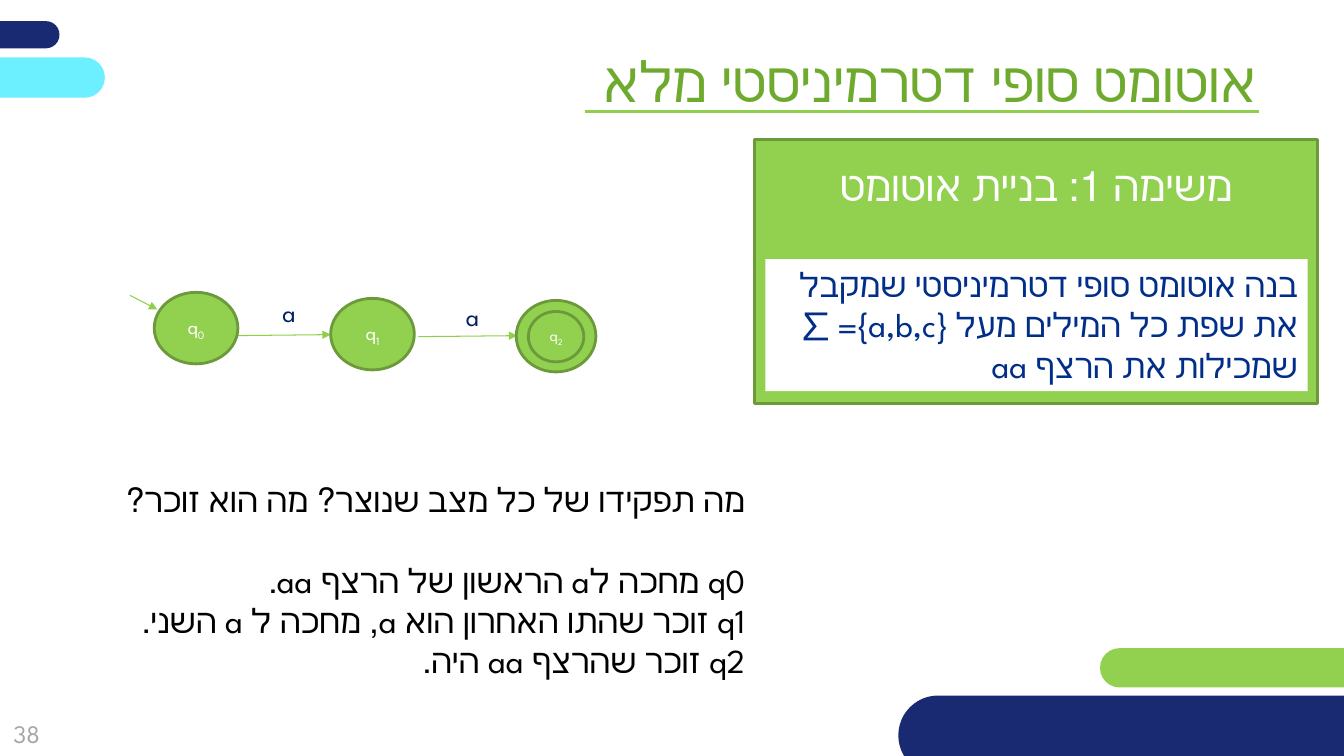
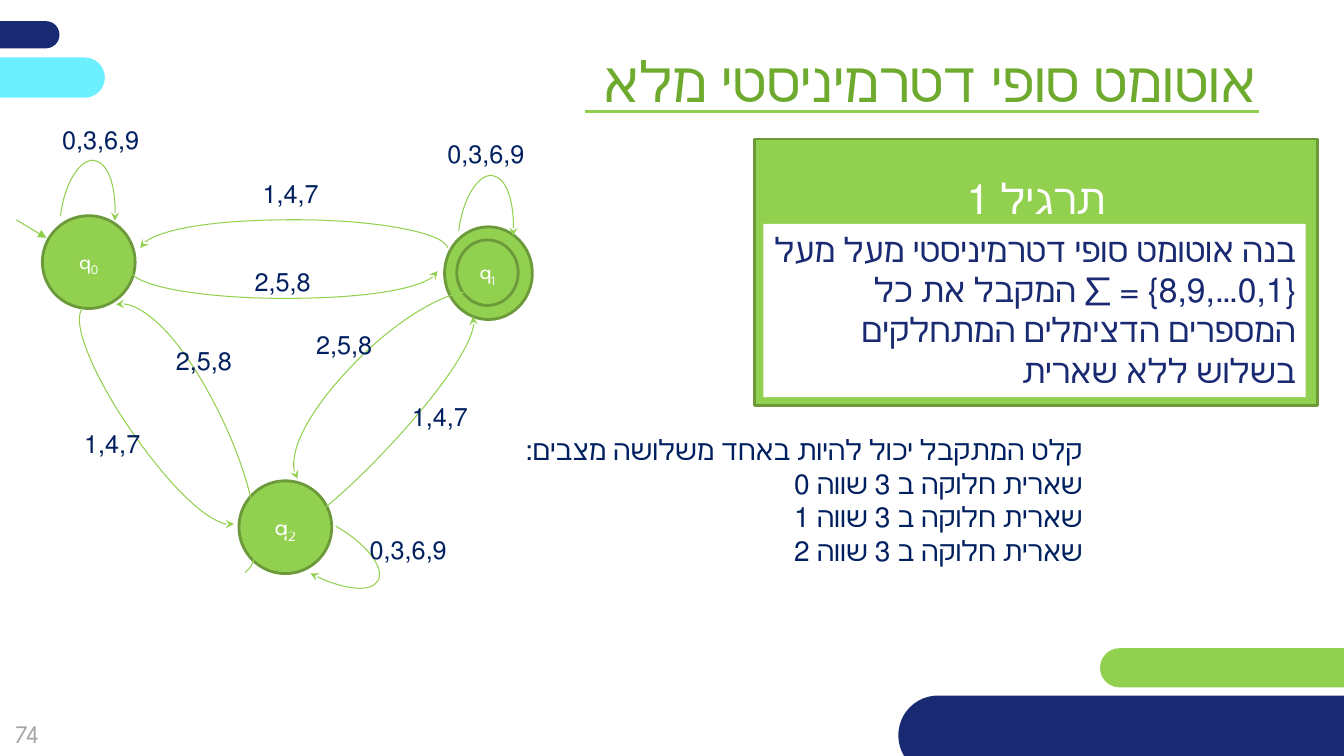
import pptx
import pptx.dml.color
import pptx.enum.shapes
import pptx.enum.text
import pptx.oxml.ns
import pptx.util
import lxml.etree

Inches = pptx.util.Inches
Pt = pptx.util.Pt
qn = pptx.oxml.ns.qn
SHAPE = pptx.enum.shapes.MSO_SHAPE
ALIGN = pptx.enum.text.PP_ALIGN
ANCHOR = pptx.enum.text.MSO_ANCHOR

FONT = "League Spartan"
COLORS = {
    "navy": "192A72", "cyan": "6CF0FF", "green": "92D050", "edge": "6C9A3B",
    "rule": "8FCF4B", "title": "6EAA2E", "gray": "A6A6A6", "white": "FFFFFF",
    "black": "000000", "blue": "002E89", "label": "002060",
}
BANDS = [
    (-2.66, 0.21, 3.25, 0.27, "navy"),
    (10.91, 6.43, 5.21, 0.39, "green"),
    (-2.21, 0.57, 3.25, 0.4, "cyan"),
    (8.91, 6.9, 5.66, 0.79, "navy"),
]
TITLE = "אוטומט סופי דטרמיניסטי מלא"


def rgb(name):
    """Return the palette colour called name."""
    return pptx.dml.color.RGBColor.from_string(COLORS[name])


def apply(obj, values):
    """Set each attribute in values on obj."""
    for key, value in values.items():
        setattr(obj, key, value)


def place(sp, box):
    """Move and size a shape to a box in inches."""
    apply(sp, dict(zip(("left", "top", "width", "height"), map(Inches, box))))


def add_run(p, text, size, color):
    """Add one formatted run to a paragraph."""
    r = p.add_run()
    r.text = text
    apply(r.font, {"name": FONT, "size": Pt(size)})
    r.font.color.rgb = rgb(color)
    return r


def write(sp, lines, size, color, align=ALIGN.RIGHT, rtl=True, **frame):
    """Write lines of text into a shape."""
    tf = sp.text_frame
    apply(tf, {"word_wrap": True, "vertical_anchor": ANCHOR.TOP,
               "auto_size": pptx.enum.text.MSO_AUTO_SIZE.NONE, **frame})
    for i, line in enumerate(lines):
        p = tf.add_paragraph() if i else tf.paragraphs[0]
        apply(p, {"alignment": align, "space_before": Pt(0)})
        if rtl:
            p._p.get_or_add_pPr().set("rtl", "1")
        add_run(p, line, size, color)


def add_shape(sl, kind, box, fill, line=None):
    """Add a flat preset shape."""
    sp = sl.shapes.add_shape(kind, *map(Inches, box))
    sp.shadow.inherit = False
    sp.fill.solid()
    sp.fill.fore_color.rgb = rgb(fill)
    if line:
        sp.line.color.rgb = rgb(line)
        sp.line.width = Pt(2)
    else:
        sp.line.fill.background()
    return sp


def add_label(sl, x, y, text, w=0.97, h=0.4):
    """Add a transition label."""
    sp = sl.shapes.add_textbox(*map(Inches, (x, y, w, h)))
    write(sp, [text], 18, "label")


def add_end(sp, end, kind):
    """Put an arrowhead on one end of a line."""
    ln = sp.line._get_or_add_ln()
    lxml.etree.SubElement(ln, qn("a:" + end)).set("type", kind)


def add_line(sl, x1, y1, x2, y2, width=0.75, arrow=True):
    """Add a straight line, with an arrowhead at its end if wanted."""
    c = sl.shapes.add_connector(pptx.enum.shapes.MSO_CONNECTOR.STRAIGHT,
                                *map(Inches, (x1, y1, x2, y2)))
    c.line.color.rgb = rgb("rule")
    c.line.width = Pt(width)
    if arrow:
        add_end(c, "tailEnd", "triangle")
    lxml.etree.SubElement(c._element.spPr, qn("a:effectLst"))


def add_curve(sl, x, y, points):
    """Add two joined Bezier arcs with an arrowhead at the first point."""
    pts = [(Inches(x + px), Inches(y + py)) for px, py in points]
    fb = sl.shapes.build_freeform(*pts[0])
    sp = fb.add_line_segments(pts[1:], close=False).convert_to_shape()
    outline = sp._element.find(".//" + qn("a:path"))
    segments = outline.findall(qn("a:lnTo"))
    for i in range(0, len(segments), 3):
        bezier = lxml.etree.SubElement(outline, qn("a:cubicBezTo"))
        for segment in segments[i:i + 3]:
            bezier.append(segment[0])
            outline.remove(segment)
    sp.shadow.inherit = False
    sp.fill.background()
    sp.line.color.rgb = rgb("green")
    sp.line.width = Pt(0.75)
    add_end(sp, "headEnd", "stealth")


def add_state(sl, box, number, size, inner=None):
    """Add a state circle, doubled when an inner box is given."""
    sp = add_shape(sl, SHAPE.OVAL, box, "green", "edge")
    if inner:
        sp = add_shape(sl, SHAPE.OVAL, inner, "green", "edge")
    write(sp, ["q"], size, "white", ALIGN.CENTER,
          vertical_anchor=ANCHOR.MIDDLE, word_wrap=False)
    r = add_run(sp.text_frame.paragraphs[0], number, size, "white")
    r.font._element.set("baseline", "-25000")


def add_base(prs, number):
    """Add a slide with bands, title, rule and number."""
    sl = prs.slides.add_slide(prs.slide_layouts[1])
    for *box, color in BANDS:
        add_shape(sl, SHAPE.ROUNDED_RECTANGLE, box, color).adjustments[0] = 0.5
    place(sl.shapes.title, (4.4, 0.41, 8.16, 0.77))
    write(sl.shapes.title, [TITLE], 40, "title")
    add_line(sl, 5.8, 1.11, 12.49, 1.11, 2.25, False)
    sp = sl.shapes.add_textbox(*map(Inches, (-0.18, 6.99, 0.89, 0.57)))
    write(sp, [number], 18, "gray", ALIGN.CENTER, False,
          vertical_anchor=ANCHOR.MIDDLE)
    return sl


def add_task(sl, box, heading, inset, panel, text, color):
    """Add a green task box with a white panel placed relative to it."""
    sp = add_shape(sl, SHAPE.RECTANGLE, box, "green", "edge")
    write(sp, [heading], 30, "white", ALIGN.CENTER, margin_top=Inches(inset))
    x, y, w, h = panel
    sp = add_shape(sl, SHAPE.RECTANGLE, (box[0] + x, box[1] + y, w, h), "white")
    write(sp, [text], 24, color)


def add_notes(sl, box, lines, size, color):
    """Fill the body placeholder with unbulleted lines."""
    body = sl.placeholders[1]
    place(body, box)
    write(body, lines, size, color)
    for p in body.text_frame.paragraphs:
        pPr = p._p.get_or_add_pPr()
        pPr.set("marL", "0")
        pPr.set("indent", "0")
        lxml.etree.SubElement(pPr, qn("a:buNone"))
    return body


def add_chain(sl, x, y):
    """Draw the three-state chain from its top left corner."""
    for x1, y1, x2, y2 in [(0.29, 0.93, 0.56, 1.07), (1.3, 1.33, 2.28, 1.32),
                           (3.15, 1.34, 4.13, 1.33)]:
        add_line(sl, x + x1, y + y1, x + x2, y + y2)
    add_state(sl, (x + 0.53, y + 0.9, 0.83, 0.71), "0", 14)
    add_state(sl, (x + 2.28, y + 0.96, 0.83, 0.71), "1", 14)
    add_state(sl, (x + 4.12, y + 0.98, 0.79, 0.71), "2", 11,
              (x + 4.24, y + 1.09, 0.55, 0.5))
    add_label(sl, x + 1.64, y + 0.9, "a", 0.39)
    add_label(sl, x + 3.33, y + 0.94, "a", 0.52)


def add_remainders(sl, x, y):
    """Draw the remainder automaton from its top left corner."""
    add_line(sl, x + 0.16, y + 1.18, x + 0.46, y + 1.36)
    add_state(sl, (x + 0.42, y + 1.14, 0.92, 0.92), "0", 16)
    add_state(sl, (x + 4.41, y + 1.25, 0.87, 0.92), "1", 16,
              (x + 4.53, y + 1.38, 0.61, 0.65))
    add_state(sl, (x + 2.37, y + 3.77, 0.92, 0.92), "2", 18)
    loop = [(1.14, 1.19), (1.16, 0.87), (1.07, 0.61), (0.93, 0.59),
            (0.79, 0.58), (0.64, 0.82), (0.6, 1.14)]
    add_curve(sl, x, y, loop)
    add_curve(sl, x + 3.95, y + 0.15, loop)
    for points in [
        [(3.08, 4.69), (3.39, 4.85), (3.68, 4.88), (3.75, 4.76),
         (3.82, 4.63), (3.63, 4.39), (3.33, 4.22)],
        [(1.39, 1.46), (1.44, 1.3), (2.11, 1.18), (2.92, 1.18),
         (3.74, 1.18), (4.41, 1.31), (4.44, 1.46)],
        [(4.34, 1.69), (4.3, 1.84), (3.63, 1.96), (2.82, 1.96),
         (2, 1.96), (1.32, 1.84), (1.29, 1.68)],
        [(4.69, 2.14), (4.77, 2.28), (4.4, 2.85), (3.85, 3.44),
         (3.29, 4.04), (2.74, 4.45), (2.6, 4.37)],
        [(2.95, 3.75), (2.81, 3.55), (3.09, 3.02), (3.59, 2.53),
         (4.09, 2.04), (4.64, 1.78), (4.83, 1.94)],
        [(2.32, 4.2), (2.16, 4.26), (1.72, 3.87), (1.32, 3.3),
         (0.92, 2.73), (0.7, 2.18), (0.82, 2.06)],
        [(1.15, 2.02), (1.4, 1.95), (1.86, 2.44), (2.2, 3.15),
         (2.54, 3.86), (2.65, 4.54), (2.43, 4.68)],
    ]:
        add_curve(sl, x, y, points)
    for lx, ly in [(0.46, 0.18), (3.51, 4.25), (4.28, 0.32)]:
        add_label(sl, x + lx, y + ly, "0,3,6,9", 1.02, 0.71)
    for lx, ly, text in [(2.29, 0.72, "1,4,7"), (0.52, 3.2, "1,4,7"),
                         (3.77, 2.93, "1,4,7"), (2.21, 1.59, "2,5,8"),
                         (1.43, 2.38, "2,5,8"), (2.82, 2.22, "2,5,8")]:
        add_label(sl, x + lx, y + ly, text)


def build_sequence_slide(prs):
    """Build the slide on words that contain aa."""
    sl = add_base(prs, "38")
    add_task(sl, (7.48, 1.38, 5.59, 2.62), "משימה 1: בניית אוטומט", 0.2,
             (0.11, 1.19, 5.38, 1.31),
             "בנה אוטומט סופי דטרמיניסטי שמקבל את שפת כל המילים מעל "
             "{a,b,c}= ∑ שמכילות את הרצף aa", "blue")
    body = add_notes(sl, (-0.41, 4.7, 7.9, 2.12), [
        "מה תפקידו של כל מצב שנוצר? מה הוא זוכר?",
        "q0 מחכה לa הראשון של הרצף aa.",
        "q1 זוכר שהתו האחרון הוא a, מחכה ל a השני.",
        "q2 זוכר שהרצף aa היה."], 24, "black")
    body.text_frame.paragraphs[1].space_before = Pt(29)
    add_chain(sl, 1, 2)


def build_division_slide(prs):
    """Build the slide on numbers divisible by three."""
    sl = add_base(prs, "74")
    add_task(sl, (7.48, 1.38, 5.59, 2.64), "תרגיל 1", 0.33,
             (0.09, 0.84, 5.38, 1.72),
             "בנה אוטומט סופי דטרמיניסטי מעל מעל {0,1…,8,9} = ∑ המקבל את כל "
             "המספרים הדצימלים המתחלקים בשלוש ללא שארית", "navy")
    remainders = [f"שארית חלוקה ב 3 שווה {n}" for n in range(3)]
    add_notes(sl, (4.6, 4.24, 6.24, 1.45),
              ["קלט המתקבל יכול להיות באחד משלושה מצבים:"] + remainders,
              20, "label")
    add_remainders(sl, 0, 1)


def main():
    """Build and save the presentation."""
    prs = pptx.Presentation()
    apply(prs, {"slide_width": Inches(13.33), "slide_height": Inches(7.5)})
    build_sequence_slide(prs)
    build_division_slide(prs)
    prs.save("out.pptx")


if __name__ == "__main__":
    main()
